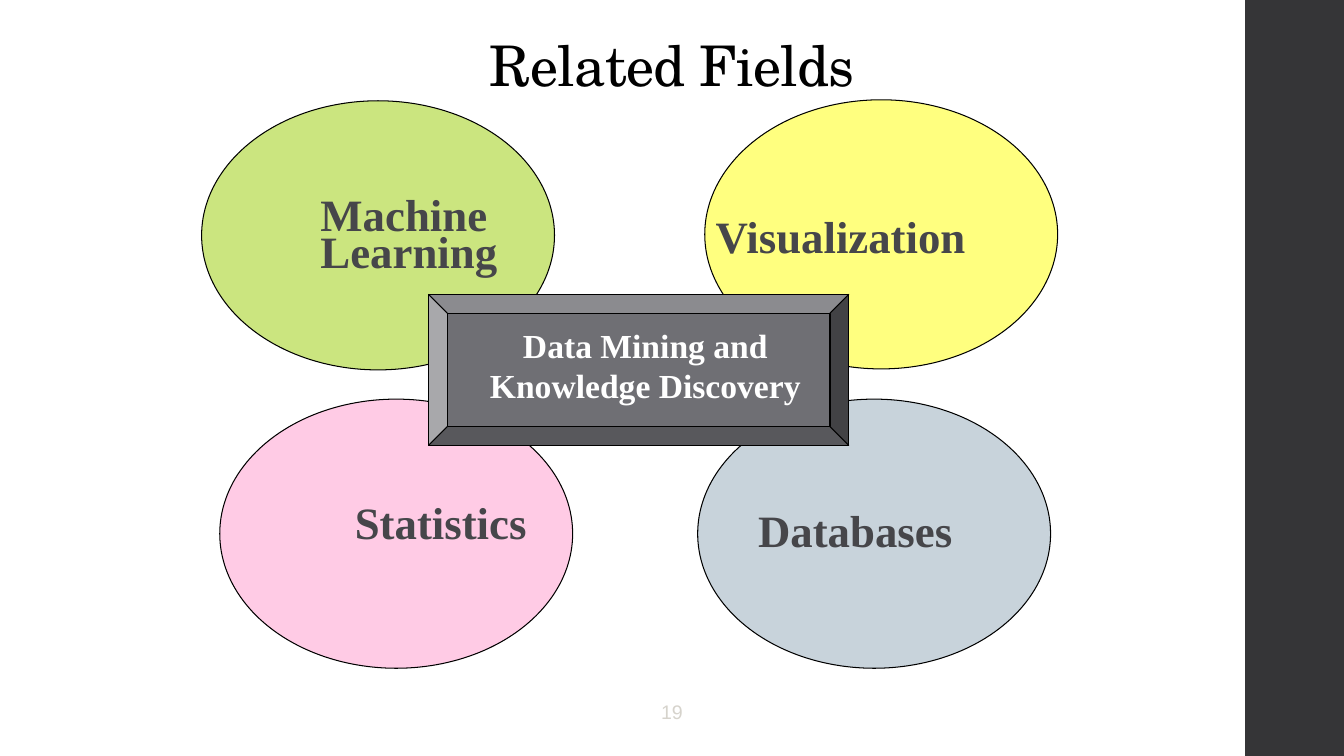
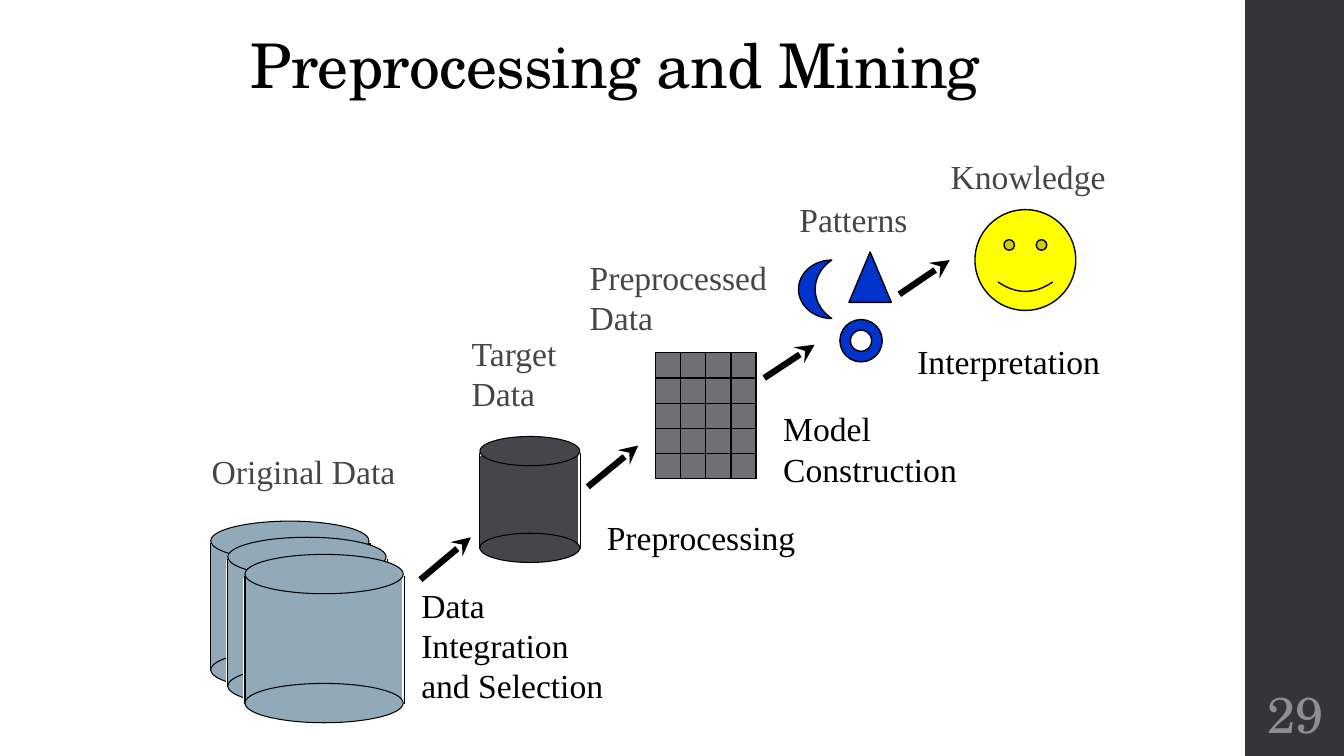
from lxml.etree import SubElement
from pptx import Presentation
from pptx.dml.color import RGBColor
from pptx.enum.shapes import MSO_CONNECTOR, MSO_SHAPE
from pptx.enum.text import MSO_ANCHOR, PP_ALIGN
from pptx.oxml.ns import qn
from pptx.util import Inches, Pt

COLORS = {
    "black": "000000", "white": "FFFFFF", "band": "353537", "text": "46464A",
    "gray": "6F6F74", "steel": "92A9B9", "pink": "FF99CC", "yellow": "FFFF00",
    "green": "99CC00", "blue": "0033CC", "pale": "D6D3CC", "number": "8E8E94",
}
TITLE_FONT, BODY_FONT = "TeX Gyre Schola", "Times New Roman"
CENTER = {"alignment": PP_ALIGN.CENTER}
TITLE = {"alignment": PP_ALIGN.CENTER, "line_spacing": 0.9}


def add_text(s, box, text, color, font, para={}, wrap=False, anchor=MSO_ANCHOR.TOP, gap=0):
    """Add a text box; each line of text is a paragraph, with gap points between them."""
    tf = s.shapes.add_textbox(*map(Inches, box)).text_frame
    tf.word_wrap, tf.vertical_anchor = wrap, anchor
    tf.text = text
    for i, p in enumerate(tf.paragraphs):
        for name, value in para.items():
            setattr(p, name, value)
        if i and gap:
            p.space_before = Pt(gap)
        r = p.runs[0]
        for name, value in font.items():
            setattr(r.font, name, value)
        r.font.color.rgb = RGBColor.from_string(COLORS[color])
    return tf


def style(sp, line, width, fill=None):
    """Outline a shape or connector, fill it if asked, and drop its shadow."""
    sp.line.color.rgb = RGBColor.from_string(COLORS[line])
    sp.line.width = Pt(width)
    if fill:
        sp.fill.solid()
        sp.fill.fore_color.rgb = RGBColor.from_string(COLORS[fill])
        sp.shadow.inherit = False
    else:
        SubElement(sp._element.spPr, qn("a:effectLst"))


prs = Presentation()
prs.slide_width, prs.slide_height = Inches(13.33), Inches(7.5)

# Shared frame: side band, title and slide number
frames = [
    ("Related Fields", (1.37, -0.05, 10.6, 1.45), 40, MSO_ANCHOR.MIDDLE,
     "19", (5.08, 6.81, 3.17, 0.5), "pale", {"name": "Arial", "size": Pt(14)}),
    ("Preprocessing and Mining", (0.43, 0, 11.35, 1.06), 44, MSO_ANCHOR.BOTTOM,
     "29", (12.35, 6.75, 1, 0.65), "number", {"name": TITLE_FONT, "size": Pt(36)}),
]
for title, title_box, size, anchor, number, number_box, color, font in frames:
    s = prs.slides.add_slide(prs.slide_layouts[6])
    band = s.shapes.add_shape(MSO_SHAPE.RECTANGLE, *map(Inches, (12.35, 0, 0.98, 7.5)))
    style(band, "band", 0.75, "band")
    band.line.fill.background()
    tf = add_text(s, title_box, title, "black", {"name": TITLE_FONT, "size": Pt(size)},
                  TITLE, True, anchor)
    tf.paragraphs[0].runs[0].font._element.set("spc", "-50")
    tf = add_text(s, number_box, number, color, font, CENTER, True, MSO_ANCHOR.MIDDLE)
    tf.margin_left = tf.margin_right = Inches(0.05)
fields, mining = prs.slides

# Related Fields
for x, y, color in [(6.92, 3.96, "steel"), (2.18, 3.96, "pink"),
                    (6.99, 0.99, "yellow"), (2, 1, "green")]:
    oval = fields.shapes.add_shape(MSO_SHAPE.OVAL, *map(Inches, (x, y, 3.5, 2.67)))
    style(oval, "black", 0.75, color)
    clr = oval._element.spPr.find(qn("a:solidFill")).find(qn("a:srgbClr"))
    SubElement(clr, qn("a:alpha"), val="50000")

bevel = fields.shapes.add_shape(MSO_SHAPE.BEVEL, *map(Inches, (4.25, 2.92, 4.17, 1.5)))
style(bevel, "black", 0.75, "gray")

field_font = {"name": BODY_FONT, "size": Pt(32), "bold": True}
for box, text, spacing, wrap in [
    ((3.42, 4.92, 1.92, 0.59), "Statistics", 0.9, False),
    ((3.08, 2.08, 2.58, 0.75), "Machine\nLearning", 0.4, True),
    ((7.42, 5, 2.15, 0.59), "Databases", 0.9, False),
    ((7, 2.08, 2.7, 0.59), "Visualization", 0.9, False),
]:
    add_text(fields, box, text, "text", field_font, {"line_spacing": spacing}, wrap, gap=11)
add_text(fields, (4.74, 3.17, 3.32, 0.91), "Data Mining and\nKnowledge Discovery", "white",
         {"name": BODY_FONT, "size": Pt(24), "bold": True}, CENTER)

# Preprocessing and Mining: cylinders (left, top, width, cap height, cap distance)
for x, y, w, cap, h, color in [
    (2.09, 5.17, 1.57, 0.39, 1.28, "steel"),
    (2.26, 5.33, 1.57, 0.39, 1.28, "steel"),
    (2.43, 5.5, 1.57, 0.39, 1.28, "steel"),
    (4.76, 4.33, 0.99, 0.29, 0.96, "text"),
]:
    shapes = mining.shapes.add_group_shape().shapes
    mid = y + cap / 2
    body = shapes.add_shape(MSO_SHAPE.RECTANGLE,
                            *map(Inches, (x - 0.01, mid + 0.04, w, h * 0.94)))
    style(body, "white", 0.75, color)
    for side in (x, x + w + 0.01):
        edge = shapes.add_connector(MSO_CONNECTOR.STRAIGHT,
                                    *map(Inches, (side, mid + 0.02, side, mid + h + 0.01)))
        style(edge, "black", 0.75)
    for top in (y, y + h):
        style(shapes.add_shape(MSO_SHAPE.OVAL, *map(Inches, (x, top, w, cap))),
              "black", 0.75, color)

# Grid of preprocessed data: 4 columns by 5 rows
left, top, cell, cols, rows = 6.5, 3.5, 0.25, 4, 5
right, bottom = left + cols * cell, top + rows * cell
shapes = mining.shapes.add_group_shape().shapes
style(shapes.add_shape(MSO_SHAPE.RECTANGLE,
                       *map(Inches, (left, top, right - left, bottom - top))),
      "black", 1, "gray")
rules = [(left + i * cell, top, left + i * cell, bottom) for i in range(1, cols)]
rules += [(left, top + i * cell, right, top + i * cell) for i in range(1, rows)]
for ends in rules:
    style(shapes.add_connector(MSO_CONNECTOR.STRAIGHT, *map(Inches, ends)), "black", 1)

# Patterns and knowledge
for kind, box, color, adj in [
    (MSO_SHAPE.MOON, (7.92, 2.58, 0.33, 0.58), "blue", 0.5),
    (MSO_SHAPE.ISOSCELES_TRIANGLE, (8.42, 2.5, 0.42, 0.5), "blue", 0.5),
    (MSO_SHAPE.DONUT, (8.33, 3.17, 0.42, 0.42), "blue", 0.25),
    (MSO_SHAPE.SMILEY_FACE, (9.67, 2.08, 1, 1), "yellow", 0.047),
]:
    sp = mining.shapes.add_shape(kind, *map(Inches, box))
    sp.adjustments[0] = adj
    style(sp, "black", 1, color)

for ends in [(4.17, 5.75, 4.67, 5.33), (5.83, 4.83, 6.33, 4.42),
             (7.58, 3.75, 8.08, 3.42), (8.92, 2.92, 9.42, 2.58)]:
    arrow = mining.shapes.add_connector(MSO_CONNECTOR.STRAIGHT, *map(Inches, ends))
    style(arrow, "black", 4.5)
    SubElement(arrow.line._get_or_add_ln(), qn("a:tailEnd"), type="stealth")

# Data states in gray, process steps in black
for box, text, color in [
    ((2, 4.42, 2.04, 0.5), "Original Data", "text"),
    ((4.58, 3.25, 1.05, 0.91), "Target\nData", "text"),
    ((5.75, 2.5, 1.98, 0.91), "Preprocessed\nData", "text"),
    ((7.83, 1.92, 1.29, 0.5), "Patterns", "text"),
    ((9.33, 1.5, 1.75, 0.5), "Knowledge", "text"),
    ((4.08, 5.75, 2.02, 1.31), "Data\nIntegration\nand Selection", "black"),
    ((5.92, 5.08, 2.09, 0.5), "Preprocessing", "black"),
    ((7.67, 4, 1.94, 0.91), "Model\nConstruction", "black"),
    ((9, 3.33, 2.03, 0.5), "Interpretation", "black"),
]:
    add_text(mining, box, text, color, {"name": BODY_FONT, "size": Pt(24)})

prs.save("out.pptx")
